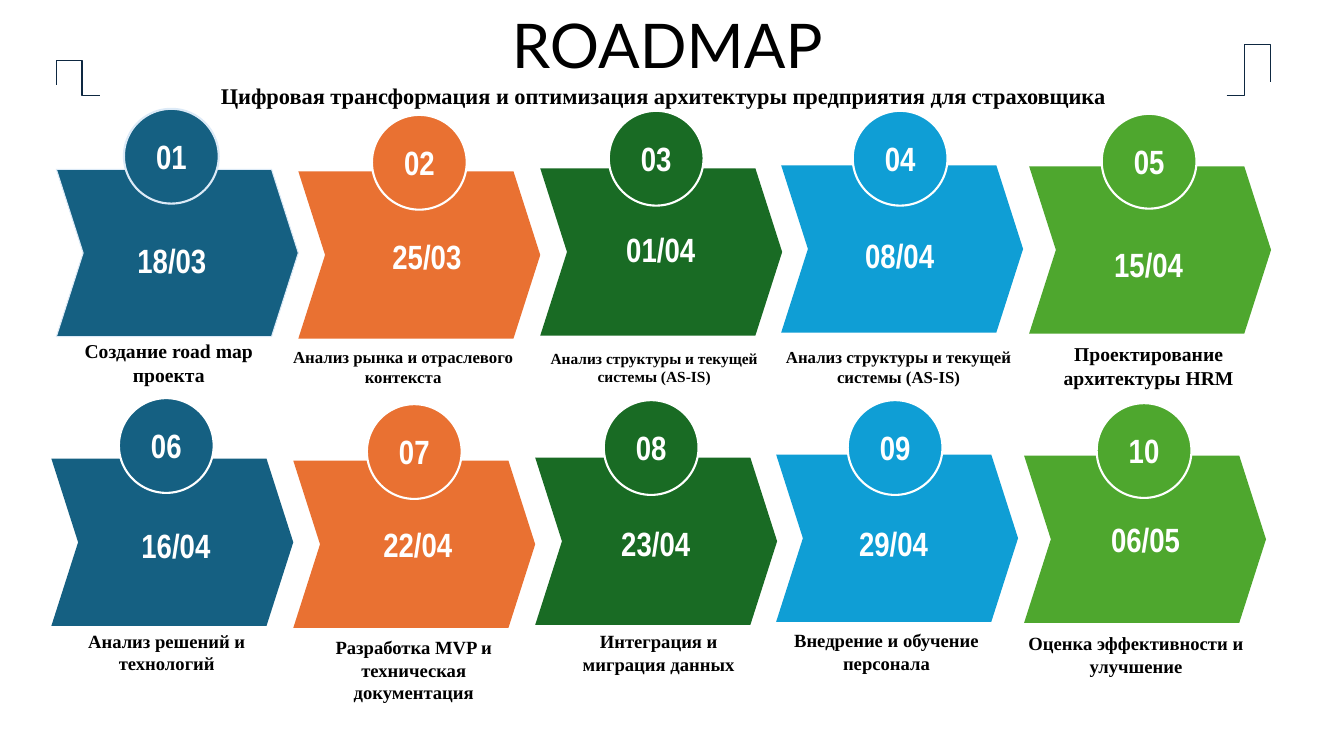
from dataclasses import dataclass

from lxml import etree
from pptx import Presentation
from pptx import util as u
from pptx.dml.color import RGBColor
from pptx.enum import shapes, text
from pptx.oxml.ns import qn


@dataclass(frozen=True)
class Theme:
    title_font: str = "Lato"
    label_font: str = "Arial Narrow"
    body_font: str = "Times New Roman"
    title: float = 44
    subtitle: float = 16
    label: float = 24
    ink: str = "000000"
    white: str = "FFFFFF"
    pale: str = "DCEAF7"
    navy: str = "0E2841"
    blue: str = "156082"
    orange: str = "E97132"
    green: str = "196B24"
    sky: str = "0F9ED5"
    lime: str = "4EA72E"


THEME = Theme()

# The grid has square cells, 75 rows to the slide's height
CELL = u.Inches(7.5) // 75
SLIDE_COLS, SLIDE_ROWS = 133.33, 75
CHEVRON = (24, 16.6)
DISC = (9.4, 9.4)
DATE = (20.7, 4.8)
ROW_SHIFT = (-0.5, 28.7)

# Chevron corner, disc corner, colour
COLUMNS = [
    ((5.6, 16.8), (12.3, 10.8), THEME.blue),
    ((29.6, 17), (36.9, 11.4), THEME.orange),
    ((53.6, 16.7), (60.4, 11), THEME.green),
    ((77.5, 16.4), (84.6, 11), THEME.sky),
    ((102.1, 16.5), (109.3, 11.3), THEME.lime),
]

# Date, date corner, caption, caption box, caption size
ROWS = [
    [
        ("18/03", (6.7, 23.4), "Создание road map проекта", (3.7, 30.1, 26.1, 11.8), 14),
        ("25/03", (32, 23), "Анализ рынка и отраслевого контекста", (24.5, 31.1, 31, 10.5), 12),
        ("01/04", (55.2, 22.3), "Анализ структуры и текущей системы (AS-IS)",
         (51.8, 31.2, 26.2, 10.5), 11),
        ("08/04", (78.9, 22.9), "Анализ структуры и текущей системы (AS-IS)",
         (75.2, 31.1, 27.9, 10.5), 12),
        ("15/04", (103.6, 23.8), "Проектирование архитектуры HRM", (100, 31, 27.9, 10.5), 14),
    ],
    [
        ("16/04", (7.1, 51.7), "Анализ решений и технологий", (3.5, 58.8, 26.1, 11.8), 13.3),
        ("22/04", (31.1, 51.6), "Разработка MVP и техническая документация",
         (29.6, 61.2, 22.9, 10.5), 13.3),
        ("23/04", (54.7, 51.5), "Интеграция и миграция данных", (55, 59.5, 20.7, 10.5), 13.3),
        ("29/04", (78.3, 51.5), "Внедрение и обучение персонала", (74.9, 59.4, 26.1, 10.5), 13.3),
        ("06/05", (103.3, 51.1), "Оценка эффективности и улучшение",
         (100.7, 59.7, 24, 10.5), 13.3),
    ],
]


def cells(*counts):
    return [round(count * CELL) for count in counts]


def shifted(corner, row):
    return tuple(place + row * step for place, step in zip(corner, ROW_SHIFT))


def write(shape, words, font, size, colour, bold=True, spacing=None):
    frame = shape.text_frame
    frame.word_wrap = True
    frame.vertical_anchor = text.MSO_ANCHOR.MIDDLE
    frame.margin_left = frame.margin_right = u.Inches(0.13)
    frame.margin_top = frame.margin_bottom = u.Inches(0.13)
    para = frame.paragraphs[0]
    para.alignment = text.PP_ALIGN.CENTER
    if spacing:
        para.line_spacing = spacing
    span = para.add_run()
    span.text = words
    span.font.name = font
    span.font.size = u.Pt(size)
    span.font.bold = bold
    span.font.color.rgb = RGBColor.from_string(colour)


def add_text(parent, box, *style, **options):
    write(parent.shapes.add_textbox(*cells(*box)), *style, **options)


def add_solid(parent, kind, box, fill, line=None, width=1.5):
    shape = parent.shapes.add_shape(kind, *cells(*box))
    shape.shadow.inherit = False
    shape.fill.solid()
    shape.fill.fore_color.rgb = RGBColor.from_string(fill)
    if line:
        shape.line.color.rgb = RGBColor.from_string(line)
        shape.line.width = u.Pt(width)
    else:
        shape.line.fill.background()
    return shape


def add_bracket(page, box, bends, **turn):
    """Four-part elbow line; bends are shares of its frame."""
    x, y, width, height = box
    bracket = page.shapes.add_connector(
        shapes.MSO_CONNECTOR.ELBOW, *cells(x, y, x + width, y + height))
    bracket.line.color.rgb = RGBColor.from_string(THEME.navy)
    bracket.line.width = u.Pt(0.75)
    props = bracket.element.spPr
    for name, value in turn.items():
        props.find(qn("a:xfrm")).set(name, value)
    outline = props.find(qn("a:prstGeom"))
    outline.set("prst", "bentConnector4")
    guides = outline.find(qn("a:avLst"))
    for number, bend in enumerate(bends, 1):
        etree.SubElement(guides, qn("a:gd"), name=f"adj{number}",
                         fmla=f"val {round(bend * 100000)}")
    etree.SubElement(props, qn("a:effectLst"))


def add_step(group, row, column, step):
    chevron_at, disc_at, colour = COLUMNS[column]
    date, date_at, caption, caption_box, caption_size = step
    number = row * len(COLUMNS) + column + 1
    first = number == 1

    chevron = add_solid(group, shapes.MSO_SHAPE.CHEVRON, shifted(chevron_at, row) + CHEVRON,
                        colour, THEME.pale if first else None, 0.75)
    chevron.adjustments[0] = 0.16
    add_text(group, date_at + DATE, date, THEME.label_font, THEME.label, THEME.white)
    add_text(group, caption_box, caption, THEME.body_font, caption_size, THEME.ink)
    disc = add_solid(group, shapes.MSO_SHAPE.OVAL, shifted(disc_at, row) + DISC,
                     colour, THEME.pale if first else THEME.white)
    write(disc, f"{number:02}", THEME.label_font, THEME.label, THEME.white)


def main():
    deck = Presentation()
    deck.slide_width, deck.slide_height = cells(SLIDE_COLS, SLIDE_ROWS)
    page = deck.slides.add_slide(deck.slide_layouts[6])

    # Heading
    add_text(page, (6.2, 2.1, 120, 5.4), "ROADMAP", THEME.title_font, THEME.title,
             THEME.ink, bold=False, spacing=0.9)
    add_text(page, (9.9, 7.1, 111.8, 4.8),
             "Цифровая трансформация и оптимизация архитектуры предприятия для страховщика",
             THEME.body_font, THEME.subtitle, THEME.ink)

    # Corner brackets
    add_bracket(page, (7.2, 6.8, 1.1, 4.3), (-2.22, 0.59), rot="16200000", flipH="1")
    add_bracket(page, (121.7, 8.1, 4.3, 1.4), (0.41, 3.61), flipV="1")

    # Two rows of steps
    for row, steps in enumerate(ROWS):
        group = page.shapes.add_group_shape()
        for column, step in enumerate(steps):
            add_step(group, row, column, step)

    deck.save("out.pptx")


if __name__ == "__main__":
    main()
